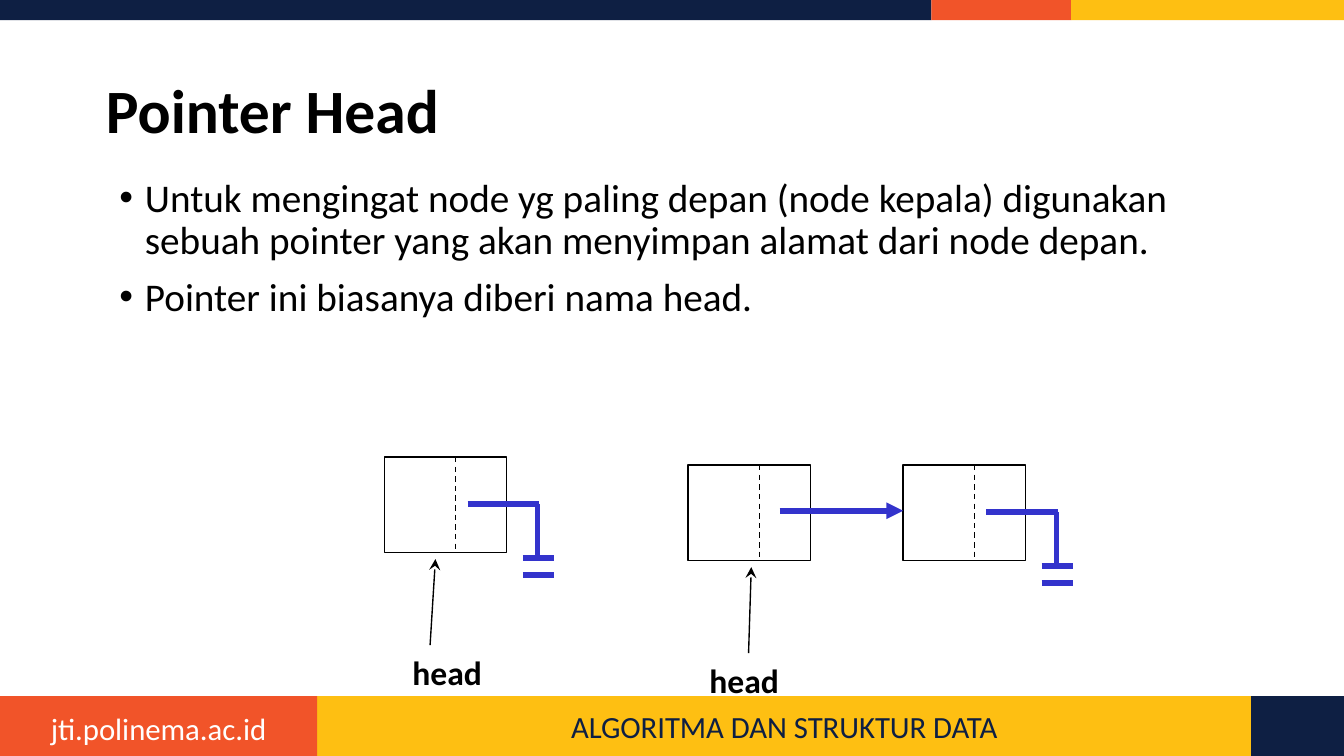
import pptx
import pptx.dml.color
import pptx.enum.dml
import pptx.enum.shapes
import pptx.enum.text
import pptx.oxml.ns
import pptx.util
from lxml import etree
from pptx.util import Inches

COLORS = {
    "navy": "0E1F43",
    "orange": "F15429",
    "yellow": "FEBF12",
    "link": "3333CC",
    "black": "000000",
    "white": "FFFFFF",
}
FONT = "Calibri"
SLIDE_WIDTH = 10
SLIDE_HEIGHT = SLIDE_WIDTH * 9 / 16
FOOTER_TOP = 5.18
NODE_WIDTH, NODE_HEIGHT = 0.91, 0.71
ALIGN = pptx.enum.text.PP_ALIGN
ANCHOR = pptx.enum.text.MSO_ANCHOR


def rgb(color):
    return pptx.dml.color.RGBColor.from_string(COLORS[color])


def add_xml(parent, tag, **attributes):
    return etree.SubElement(parent, pptx.oxml.ns.qn(tag), **attributes)


def add_band(slide, left, top, width, height, color):
    band = slide.shapes.add_shape(
        pptx.enum.shapes.MSO_SHAPE.RECTANGLE,
        Inches(left), Inches(top), Inches(width), Inches(height))
    band.shadow.inherit = False
    band.fill.solid()
    band.fill.fore_color.rgb = rgb(color)
    band.line.fill.background()
    return band


def style_paragraph(paragraph, size, color="black", bold=False, align=ALIGN.LEFT):
    paragraph.alignment = align
    for run in paragraph.runs:
        run.font.name = FONT
        run.font.size = pptx.util.Pt(size)
        run.font.bold = bold
        run.font.color.rgb = rgb(color)


def add_text(slide, left, top, width, height, lines, anchor=ANCHOR.TOP, **style):
    box = slide.shapes.add_textbox(
        Inches(left), Inches(top), Inches(width), Inches(height))
    frame = box.text_frame
    frame.word_wrap = True
    frame.vertical_anchor = anchor
    frame.text = "\n".join(lines)
    for paragraph in frame.paragraphs:
        style_paragraph(paragraph, **style)
    return frame


def add_bullets(frame):
    for index, paragraph in enumerate(frame.paragraphs):
        paragraph.line_spacing = 0.9
        if index:
            paragraph.space_before = pptx.util.Pt(7.5)
        properties = paragraph._p.get_or_add_pPr()
        properties.set("marL", str(Inches(0.19)))
        properties.set("indent", str(Inches(-0.19)))
        bullet_color = add_xml(properties, "a:buClr")
        add_xml(bullet_color, "a:srgbClr", val=COLORS["black"])
        add_xml(properties, "a:buFont", typeface="Arial")
        add_xml(properties, "a:buChar", char="•")


def add_line(slide, start, end, color="black", width=0.75, dashed=False, arrow=None):
    connector = slide.shapes.add_connector(
        pptx.enum.shapes.MSO_CONNECTOR.STRAIGHT,
        *(Inches(value) for value in (*start, *end)))
    connector.line.color.rgb = rgb(color)
    connector.line.width = pptx.util.Pt(width)
    if dashed:
        connector.line.dash_style = pptx.enum.dml.MSO_LINE.DASH
    if arrow:
        add_xml(connector.line._get_or_add_ln(), "a:tailEnd", type=arrow)
    add_xml(connector._element.spPr, "a:effectLst")


def add_link(slide, start, end, arrow=None):
    add_line(slide, start, end, "link", 3, arrow=arrow)


def add_node(slide, left, top):
    """A node box, split by a dashed line into data and pointer."""
    node = slide.shapes.add_shape(
        pptx.enum.shapes.MSO_SHAPE.ROUNDED_RECTANGLE,
        Inches(left), Inches(top), Inches(NODE_WIDTH), Inches(NODE_HEIGHT))
    node.adjustments[0] = 0
    node.shadow.inherit = False
    node.fill.solid()
    node.fill.fore_color.rgb = rgb("white")
    node.line.color.rgb = rgb("black")
    node.line.width = pptx.util.Pt(0.75)
    divider = left + 0.53
    add_line(slide, (divider, top), (divider, top + NODE_HEIGHT), dashed=True)


def add_null_link(slide, left, top):
    """The ground symbol that ends the list at the node placed at left, top."""
    start_y, drop_x = top + 0.35, left + 1.14
    add_link(slide, (left + 0.62, start_y), (left + 1.15, start_y))
    add_link(slide, (drop_x, start_y), (drop_x, top + 0.76))
    for bar_y in (top + 0.75, top + 0.88):
        add_link(slide, (left + 1.03, bar_y), (left + 1.26, bar_y))


def add_head(slide, left, top, arrow_start, arrow_end):
    add_text(slide, left, top, 0.79, 0.4, ["head"], size=18, bold=True)
    add_line(slide, arrow_start, arrow_end, arrow="stealth")


def main():
    presentation = pptx.Presentation()
    presentation.slide_width = Inches(SLIDE_WIDTH)
    presentation.slide_height = Inches(SLIDE_HEIGHT)
    slide = presentation.slides.add_slide(presentation.slide_layouts[6])

    # Top stripe
    for left, width, color in ((0, 6.93, "navy"), (6.93, 1.04, "orange"),
                               (7.97, 2.03, "yellow")):
        add_band(slide, left, 0, width, 0.15, color)

    # Footer
    footer_height = SLIDE_HEIGHT - FOOTER_TOP
    course_band, _, _ = [
        add_band(slide, left, FOOTER_TOP, width, footer_height, color)
        for left, width, color in ((2.36, 6.95, "yellow"), (0, 2.36, "orange"),
                                   (9.31, 0.69, "navy"))]
    course = course_band.text_frame
    course.text = "ALGORITMA DAN STRUKTUR DATA"
    course.vertical_anchor = ANCHOR.MIDDLE
    style_paragraph(course.paragraphs[0], 16.5, "navy", align=ALIGN.CENTER)
    add_text(slide, 0, 5.23, 2.36, 0.38, ["jti.polinema.ac.id"],
             size=16.5, color="white", align=ALIGN.CENTER)

    # Title and explanation
    title = add_text(slide, 0.69, 0.3, 8.62, 1.09, ["Pointer Head"],
                     anchor=ANCHOR.MIDDLE, size=33, bold=True)
    title.paragraphs[0].line_spacing = 0.9
    explanation = add_text(slide, 0.79, 1.28, 8.43, 3.77, [
        "Untuk mengingat node yg paling depan (node kepala) digunakan "
        "sebuah pointer yang akan menyimpan alamat dari node depan.",
        "Pointer ini biasanya diberi nama head.",
    ], size=21)
    add_bullets(explanation)

    # List of two nodes
    for left in (5.12, 6.72):
        add_node(slide, left, 3.46)
    add_link(slide, (5.8, 3.8), (6.72, 3.8), arrow="triangle")
    add_null_link(slide, 6.72, 3.46)

    # List of one node
    add_node(slide, 2.86, 3.4)
    add_null_link(slide, 2.86, 3.4)

    # Head pointers
    add_head(slide, 2.97, 4.8, (3.2, 4.8), (3.24, 4.16))
    add_head(slide, 5.18, 4.86, (5.57, 4.86), (5.59, 4.22))

    presentation.save("out.pptx")


if __name__ == "__main__":
    main()
